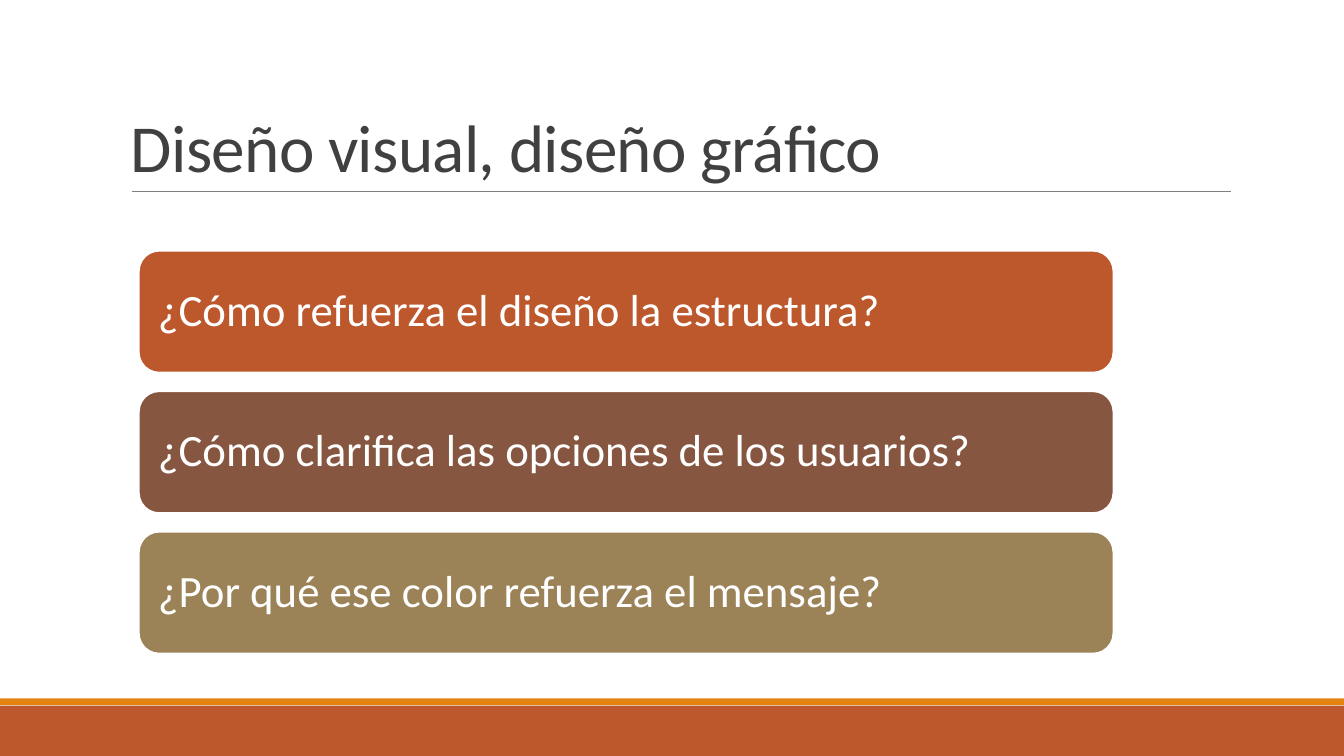
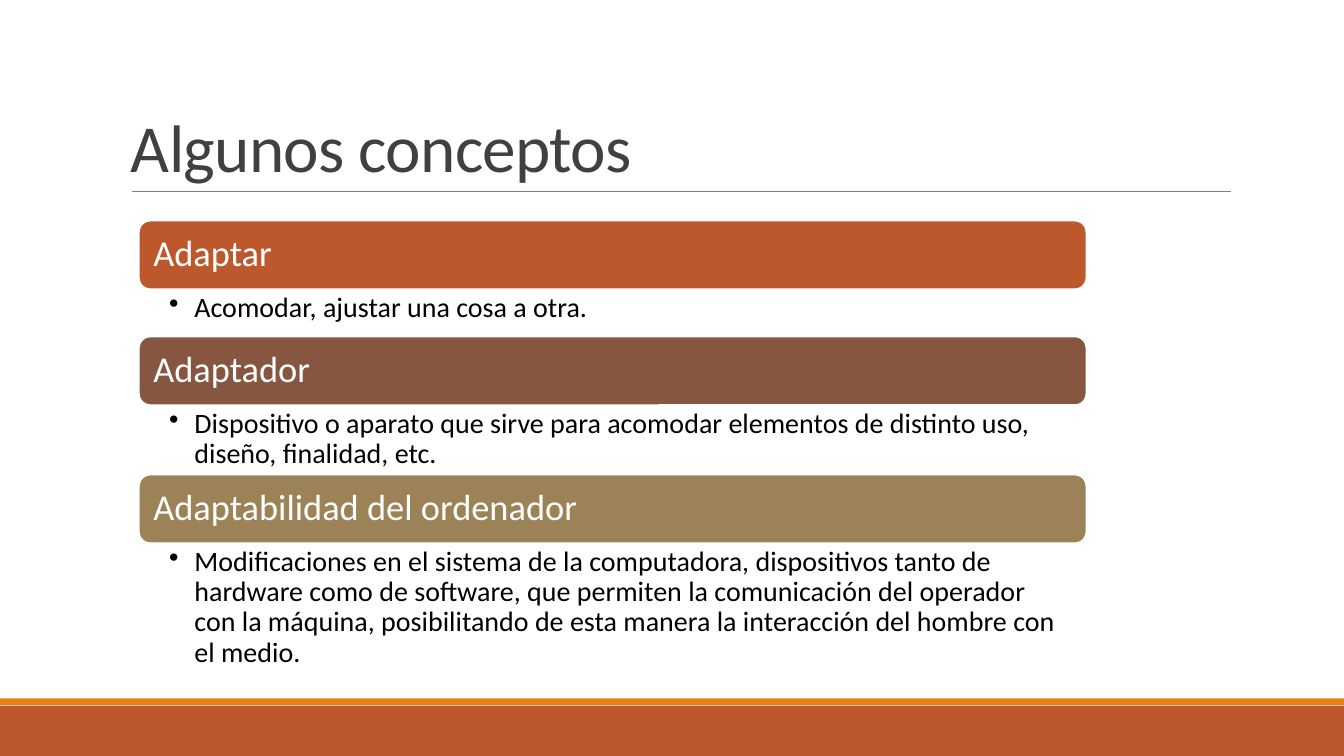
from dataclasses import dataclass

from lxml import etree
from pptx import Presentation
from pptx.dml.color import RGBColor
from pptx.enum.shapes import MSO_CONNECTOR, MSO_SHAPE
from pptx.enum.text import MSO_ANCHOR, MSO_AUTO_SIZE, PP_ALIGN
from pptx.oxml.ns import qn
from pptx.util import Cm, Pt

RECT, ROUND = MSO_SHAPE.RECTANGLE, MSO_SHAPE.ROUNDED_RECTANGLE
STRAIGHT = MSO_CONNECTOR.STRAIGHT
TOP, MIDDLE, BOTTOM = MSO_ANCHOR.TOP, MSO_ANCHOR.MIDDLE, MSO_ANCHOR.BOTTOM
LEFT = PP_ALIGN.LEFT
NO_FIT = MSO_AUTO_SIZE.NONE
TITLE_ONLY = 5


@dataclass(frozen=True)
class Theme:
    font: str = "Calibri"
    title: str = "404040"
    rule: str = "808080"
    band: str = "BD582C"
    strip: str = "E48312"
    white: str = "FFFFFF"
    black: str = "000000"
    cards: tuple = ("BD582C", "865640", "9B8357")
    title_size: int = 48
    question_size: int = 32
    concept_size: int = 26
    body_size: int = 20


class Deck:
    width, height = 33.87, 19.05
    card_left = 3.5

    def __init__(self, theme):
        self.theme = theme
        self.prs = Presentation()
        self.prs.slide_width = Cm(self.width)
        self.prs.slide_height = Cm(self.height)
        self.s = None

    def new_slide(self, title):
        t = self.theme
        self.s = self.prs.slides.add_slide(self.prs.slide_layouts[TITLE_ONLY])
        self.shape(RECT, 0, 17.78, self.width, 1.27, t.band)
        self.shape(RECT, 0, 17.6, self.width, 0.17, t.strip)
        self.rule(3.32, 4.83, 31.01)
        sp = self.s.shapes.title
        sp.left, sp.top, sp.width, sp.height = Cm(3.05), Cm(0.79), Cm(27.94), Cm(4.04)
        r = self.text(sp, title, t.title_size, t.title, BOTTOM,
                      (0.25, 0.13, 0.25, 0.13), 0.85)
        r.font._element.set("spc", "-50")

    def shape(self, kind, x, y, w, h, fill, line=None):
        sp = self.s.shapes.add_shape(kind, Cm(x), Cm(y), Cm(w), Cm(h))
        sp.shadow.inherit = False
        sp.fill.solid()
        sp.fill.fore_color.rgb = RGBColor.from_string(fill)
        if line:
            sp.line.color.rgb = RGBColor.from_string(line)
            sp.line.width = Pt(1.25)
        else:
            sp.line.fill.background()
        return sp

    def rule(self, x1, y, x2):
        line = self.s.shapes.add_connector(STRAIGHT, Cm(x1), Cm(y), Cm(x2), Cm(y))
        line.line.color.rgb = RGBColor.from_string(self.theme.rule)
        line.line.width = Pt(0.5)
        etree.SubElement(line._element.spPr, qn("a:effectLst"))

    def text(self, sp, text, size, color, anchor, insets, spacing=0.9):
        tf = sp.text_frame
        tf.word_wrap = True
        tf.auto_size = NO_FIT
        tf.vertical_anchor = anchor
        tf.margin_left, tf.margin_top, tf.margin_right, tf.margin_bottom = map(Cm, insets)
        p = tf.paragraphs[0]
        p.alignment = LEFT
        p.line_spacing = spacing
        r = p.add_run()
        r.text = text
        r.font.name = self.theme.font
        r.font.size = Pt(size)
        r.font.color.rgb = RGBColor.from_string(color)
        return r

    def card(self, y, w, h, fill, text, size, inset):
        white = self.theme.white
        sp = self.shape(ROUND, self.card_left, y, w, h, fill, white)
        self.text(sp, text, size, white, MIDDLE, (inset,) * 4)

    def bullet(self, y, w, h, text):
        sp = self.s.shapes.add_textbox(Cm(self.card_left), Cm(y), Cm(w), Cm(h))
        p = sp.text_frame.paragraphs[0]
        pPr = p._p.get_or_add_pPr()
        pPr.set("marL", str(Cm(0.64)))
        pPr.set("indent", str(-Cm(0.64)))
        etree.SubElement(pPr, qn("a:buChar")).set("char", "•")
        self.text(sp, text, self.theme.body_size, self.theme.black, TOP,
                  (0.76, 0.1, 0.5, 0.1))


def questions(deck):
    t = deck.theme
    deck.new_slide("Diseño visual, diseño gráfico")
    items = (
        "¿Cómo refuerza el diseño la estructura?",
        "¿Cómo clarifica las opciones de los usuarios?",
        "¿Por qué ese color refuerza el mensaje?",
    )
    top, height, gap = 6.32, 3.07, 0.47
    for i, (fill, item) in enumerate(zip(t.cards, items)):
        deck.card(top + i * (height + gap), 24.56, height, fill, item,
                  t.question_size, 0.33)


def concepts(deck):
    t = deck.theme
    deck.new_slide("Algunos conceptos")
    items = (
        ("Adaptar", "Acomodar, ajustar una cosa a otra.", 1.19),
        ("Adaptador",
         "Dispositivo o aparato que sirve para acomodar elementos de distinto uso, "
         "diseño, finalidad, etc.", 1.75),
        ("Adaptabilidad del ordenador",
         "Modificaciones en el sistema de la computadora, dispositivos tanto de "
         "hardware como de software, que permiten la comunicación del operador con "
         "la máquina, posibilitando de esta manera la interacción del hombre con "
         "el medio.", 3.28),
    )
    y, width, head = 5.56, 23.88, 1.73
    for fill, (name, meaning, height) in zip(t.cards, items):
        deck.card(y, width, head, fill, name, t.concept_size, 0.28)
        deck.bullet(y + head, width, height, meaning)
        y += head + height


def main():
    deck = Deck(Theme())
    questions(deck)
    concepts(deck)
    deck.prs.save("out.pptx")


if __name__ == "__main__":
    main()
